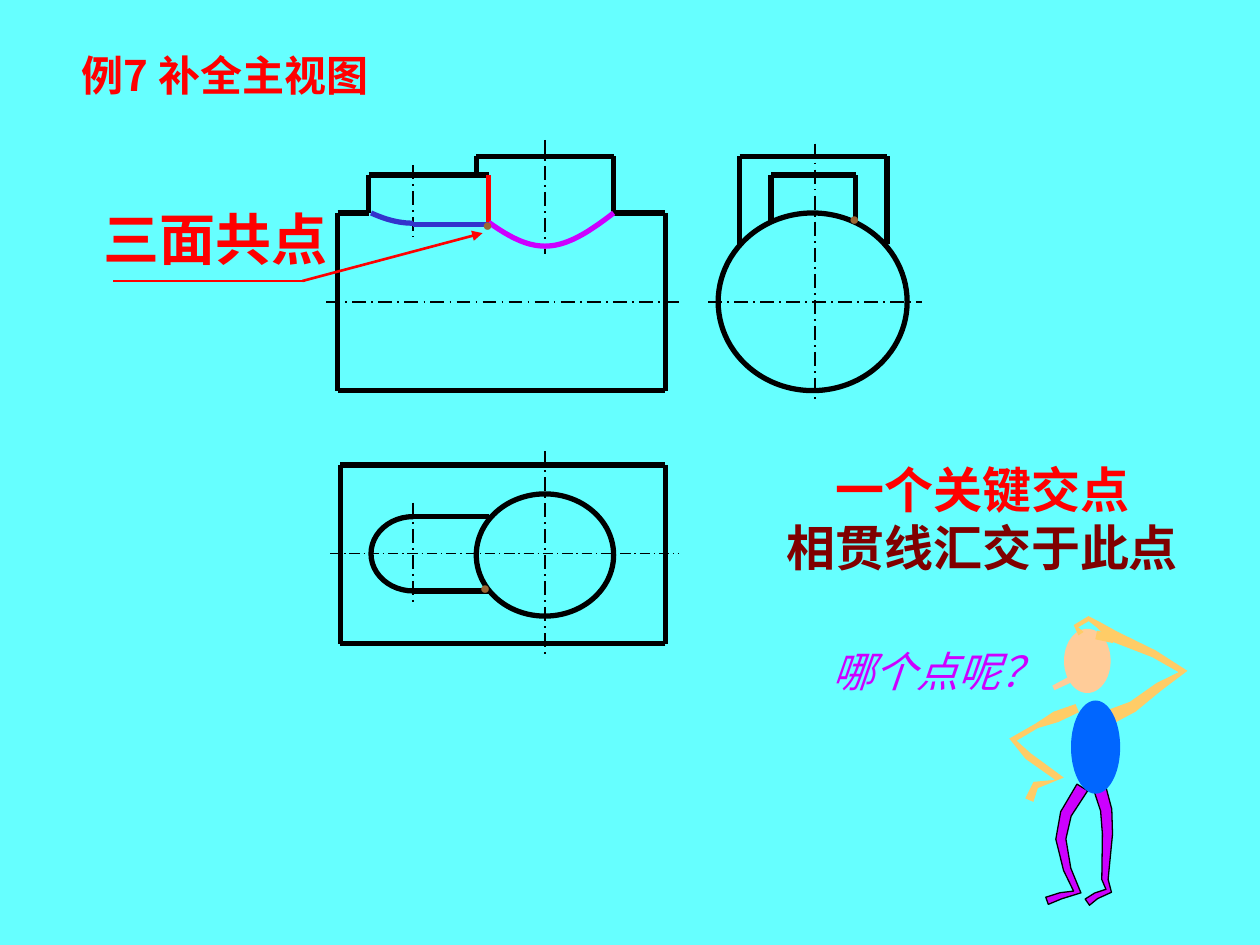
from itertools import pairwise
from math import hypot, sqrt
from pptx import Presentation
from pptx.dml.color import RGBColor
from pptx.enum.dml import MSO_LINE
from pptx.enum.shapes import MSO_CONNECTOR, MSO_SHAPE
from pptx.enum.text import MSO_ANCHOR, PP_ALIGN
from pptx.oxml.ns import qn
from pptx.util import Inches, Pt
from lxml.etree import SubElement

COLORS = {key: RGBColor.from_string(value) for key, value in {
    "cyan": "66FFFF", "black": "000000", "red": "FF0000", "purple": "CC00FF",
    "indigo": "3333CC", "brown": "996633", "maroon": "800000",
    "arm": "FFCC66", "skin": "FFCC99", "shirt": "0066FF"}.items()}

deck = Presentation()
deck.slide_width, deck.slide_height = Inches(10), Inches(7.5)
page = deck.slides.add_slide(deck.slide_layouts[6])
page.background.fill.solid()
page.background.fill.fore_color.rgb = COLORS["cyan"]
cell = deck.slide_width // 100


def draw_line(points, color="black", width=3, dash=None):
    for start, end in pairwise(points):
        line = page.shapes.add_connector(
            MSO_CONNECTOR.STRAIGHT, *[round(cell * v) for v in (*start, *end)])
        line.line.color.rgb = COLORS[color]
        line.line.width = Pt(width)
        line.line.dash_style = dash
        SubElement(line._element.spPr, qn("a:effectLst"))
    return line


def paint(shape, fill=None, color=None, width=3):
    shape.shadow.inherit = False
    for part, name in ((shape.fill, fill), (shape.line.fill, color)):
        if name:
            part.solid()
            part.fore_color.rgb = COLORS[name]
        else:
            part.background()
    if color:
        shape.line.width = Pt(width)


body_left, body_right = 26.8, 52.8
body_top, body_bottom = 16.9, 31
plan_left, plan_top, plan_bottom = 27, 36.9, 51.1
axis_y, plan_y, side_x = 23.95, 43.95, 64.7
boss_x, boss_radius, boss_depth, boss_top = 43.25, 5.45, 5.85, 12.4
slot_x, slot_radius, slot_depth, slot_top = 32.8, 3.35, 3.5, 13.9
boss_left, boss_right = boss_x - boss_radius, boss_x + boss_radius
slot_left = slot_x - slot_radius
slot_high, slot_low = 41, 46.9
side_radius_x, side_radius_y = 7.5, 7.05
meet_x, meet_y = 38.8, 17.8

slot_end = (MSO_SHAPE.OVAL, slot_x, plan_y, slot_radius, 2.95, None, "black")
slot_mask = (MSO_SHAPE.RECTANGLE, 34.9, plan_y, 2.1, 5, "cyan", None)
plan_boss = (MSO_SHAPE.OVAL, boss_x, plan_y + 0.1, boss_radius, 4.85, None, "black")
side_body = (MSO_SHAPE.OVAL, side_x - 0.2, axis_y, side_radius_x, side_radius_y, None, "black")
head = (MSO_SHAPE.OVAL, 86.3, 52.45, 1.85, 2.55, "skin", None)
for kind, x, y, half_width, half_height, fill, color in (
        slot_end, slot_mask, plan_boss, side_body, head):
    bounds = (x - half_width, y - half_height, 2 * half_width, 2 * half_height)
    paint(page.shapes.add_shape(kind, *[round(cell * v) for v in bounds]), fill, color)

for x, start, end in ((side_x, 11.4, 31.8), (boss_x, 11.1, 20.2), (boss_x, 35.8, 52.2),
                      (slot_x, 13.1, 18.8), (slot_x, 39.9, 48.1)):
    draw_line([(x, start), (x, end)], width=1, dash=MSO_LINE.LONG_DASH_DOT)
for y, start, end, width in ((axis_y, 25.9, 54, 1), (axis_y, 56.2, 73.2, 1),
                             (plan_y, 26.2, 53.9, 0.75)):
    draw_line([(start, y), (end, y)], width=width, dash=MSO_LINE.LONG_DASH_DOT)

front_body = [(body_left, body_top), (body_left, body_bottom),
              (body_right, body_bottom), (body_right, body_top)]
front_boss = [(body_right, body_top), (boss_right, body_top), (boss_right, boss_top),
              (boss_left, boss_top), (boss_left, slot_top)]
front_slot = [(body_left, body_top), (slot_left - 0.2, body_top),
              (slot_left - 0.2, slot_top), (meet_x, slot_top)]
plan_body = [(plan_left, plan_top), (body_right, plan_top), (body_right, plan_bottom),
             (plan_left, plan_bottom), (plan_left, plan_top)]
slot_sides = [[(slot_x, y), (meet_x, y)] for y in (slot_high, slot_low)]
side_boxes = [[(left, low), (left, high), (right, high), (right, low)]
              for left, right, high, low in ((58.7, 70.4, boss_top, 19.4),
                                             (61.2, 67.9, slot_top, 17.6))]
for points in (front_body, front_boss, front_slot, plan_body, *slot_sides, *side_boxes):
    draw_line(points)
draw_line([(meet_x, meet_y), (meet_x, slot_top)], "red")
draw_line([(slot_x, meet_y), (meet_x, meet_y)], "indigo")

outlines = []
for center, radius, depth, start, end, color in (
        (boss_x, boss_radius, boss_depth, meet_x, boss_right, "purple"),
        (slot_x, slot_radius, slot_depth, slot_left, slot_x, "indigo")):
    curve = []
    for step in range(41):
        x = start + (end - start) * step / 40
        reach = depth * sqrt(max(0, 1 - ((x - center) / radius) ** 2))
        height = side_radius_y * sqrt(1 - (reach / side_radius_x) ** 2)
        curve.append((x, axis_y - height))
    outlines.append((curve, None, color, 3))

nose = [(85, 53.9, 0.5), (83.6, 54.6, 0.4)]
left_arm = [(85.5, 56.2, 0.7), (83.8, 56.9, 0.9), (82.3, 57.6, 0.4), (80.4, 58.7, 0.6),
            (81.6, 60, 0.6), (84.1, 61.8, 0.7), (82.2, 62.3, 0.6), (81.7, 63.5, 0.7)]
right_arm = [(87.9, 57, 1.2), (89.9, 56.1, 0.9), (92, 54.5, 0.7), (93.9, 53.3, 0.7),
             (91.6, 51.9, 0.6), (88.4, 50.5, 0.9), (87.2, 49.6, 0.5), (86.4, 49.1, 0.4),
             (85.4, 49.7, 0.4), (85.8, 50.3, 0.5)]
thumb = [(88.4, 50.7, 0.7), (87, 50.4, 0.7)]
left_leg = [(85.9, 62.5, 1), (84.6, 64.6, 0.9), (84.2, 66.6, 0.8), (84.7, 69, 0.6),
            (85.5, 70.8, 0.6), (84.2, 71.1, 0.5), (83.1, 71.5, 0.6)]
right_leg = [(87.3, 62.6, 1), (87.8, 64.3, 0.9), (87.9, 66.2, 0.8), (87.7, 69.8, 0.5),
             (88, 70.7, 0.5), (87, 71.1, 0.5), (86.3, 71.6, 0.6)]
for limb, fill, color in ((nose, "skin", None), (left_arm, "arm", None),
                          (right_arm, "arm", None), (thumb, "arm", None),
                          (left_leg, "purple", "black"), (right_leg, "purple", "black")):
    one_edge, other_edge = [], []
    for i, (x, y, thickness) in enumerate(limb):
        before, after = limb[max(i - 1, 0)], limb[min(i + 1, len(limb) - 1)]
        run, rise = after[0] - before[0], after[1] - before[1]
        share = thickness / 2 / hypot(run, rise)
        one_edge.append((x - rise * share, y + run * share))
        other_edge.append((x + rise * share, y - run * share))
    outlines.append((one_edge + other_edge[::-1], fill, color, 0.75))

for points, fill, color, width in outlines:
    spots = [(cell * x, cell * y) for x, y in points]
    builder = page.shapes.build_freeform(*spots[0], scale=1.0)
    builder.add_line_segments(spots[1:], close=fill is not None)
    paint(builder.convert_to_shape(), fill, color, width)

torso = page.shapes.add_shape(
    MSO_SHAPE.OVAL, *[round(cell * v) for v in (85, 55.6, 3.9, 7.4)])
paint(torso, "shirt")

draw_line([(9, 22.3), (24.2, 22.3)], "red", 1.5)
leader = draw_line([(38.3, 18.5), (24, 22.3)], "red", 1.5)
SubElement(leader.line._get_or_add_ln(), qn("a:headEnd"), type="triangle")

serif, sans = "Times New Roman", "Noto Sans CJK SC"
center, left = PP_ALIGN.CENTER, PP_ALIGN.LEFT
dots = [((x, y, 2.8, 2.7), [("●", "brown")], 10, serif, center, False, False, False)
        for x, y in ((37.3, 16.5), (37.1, 45.3), (66.4, 16))]
labels = [
    ((7.2, 15.7, 19.8, 6.4), [("三面共点", "red")], 32, serif, center, True, False, False),
    *dots,
    ((58.4, 35.9, 39.1, 10.4), [("一个关键交点", "red"), ("相贯线汇交于此点", "maroon")],
     28, serif, center, True, False, True),
    ((65.1, 51.2, 16.2, 4.1), [("哪个点呢？", "purple")], 24, sans, left, False, True, False),
    ((5.5, 3.4, 32.5, 5), [("例7 补全主视图", "red")], 24, sans, left, True, False, True)]
for place, rows, size, face, align, bold, italic, wrap in labels:
    box = page.shapes.add_textbox(*[round(cell * v) for v in place])
    frame = box.text_frame
    frame.word_wrap = wrap
    frame.vertical_anchor = MSO_ANCHOR.MIDDLE
    frame.text = "\n".join(text for text, color in rows)
    for para, (text, color) in zip(frame.paragraphs, rows):
        para.alignment = align
        font = para.font
        font.name, font.size, font.bold, font.italic = face, Pt(size), bold, italic
        font.color.rgb = COLORS[color]

deck.save("out.pptx")
